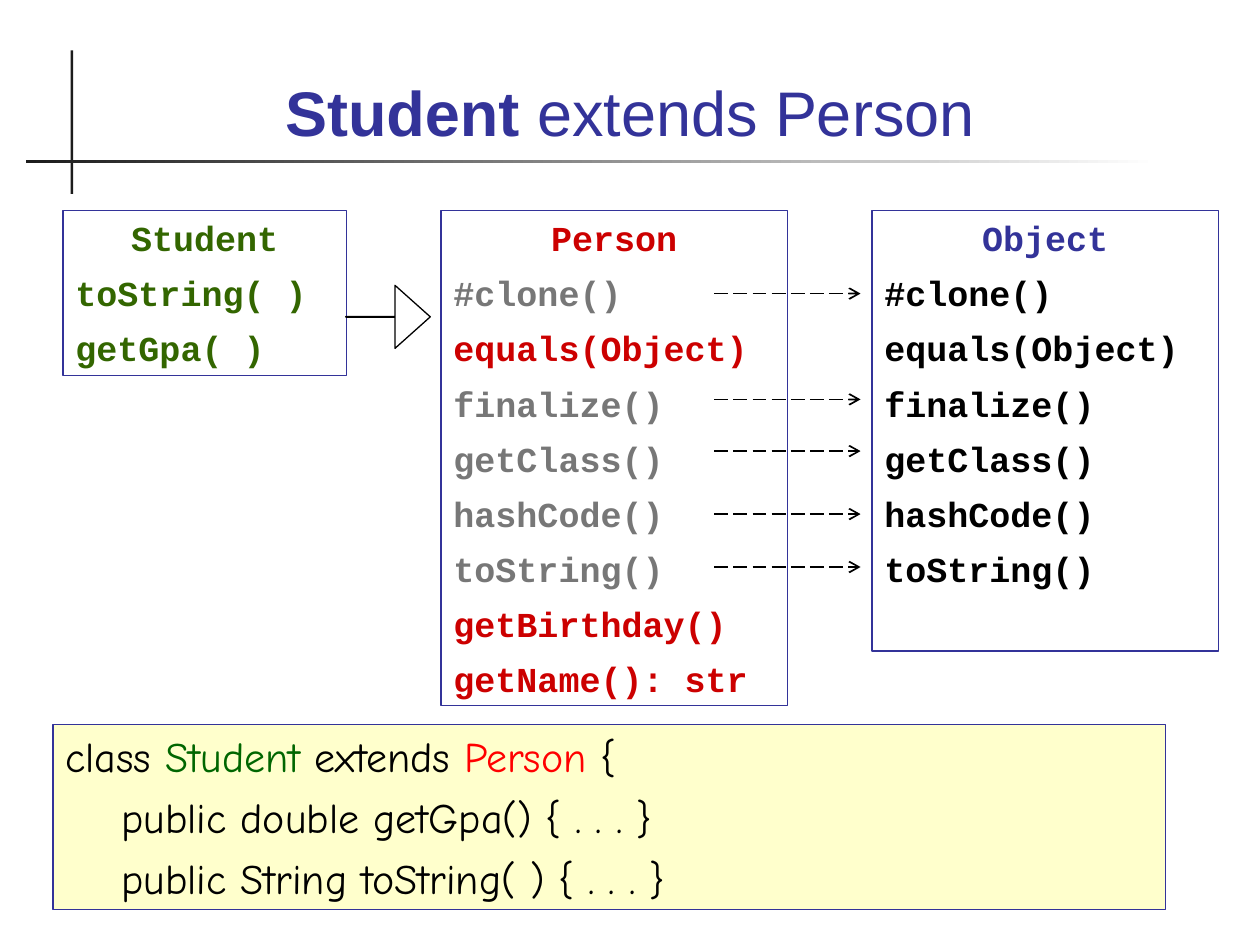
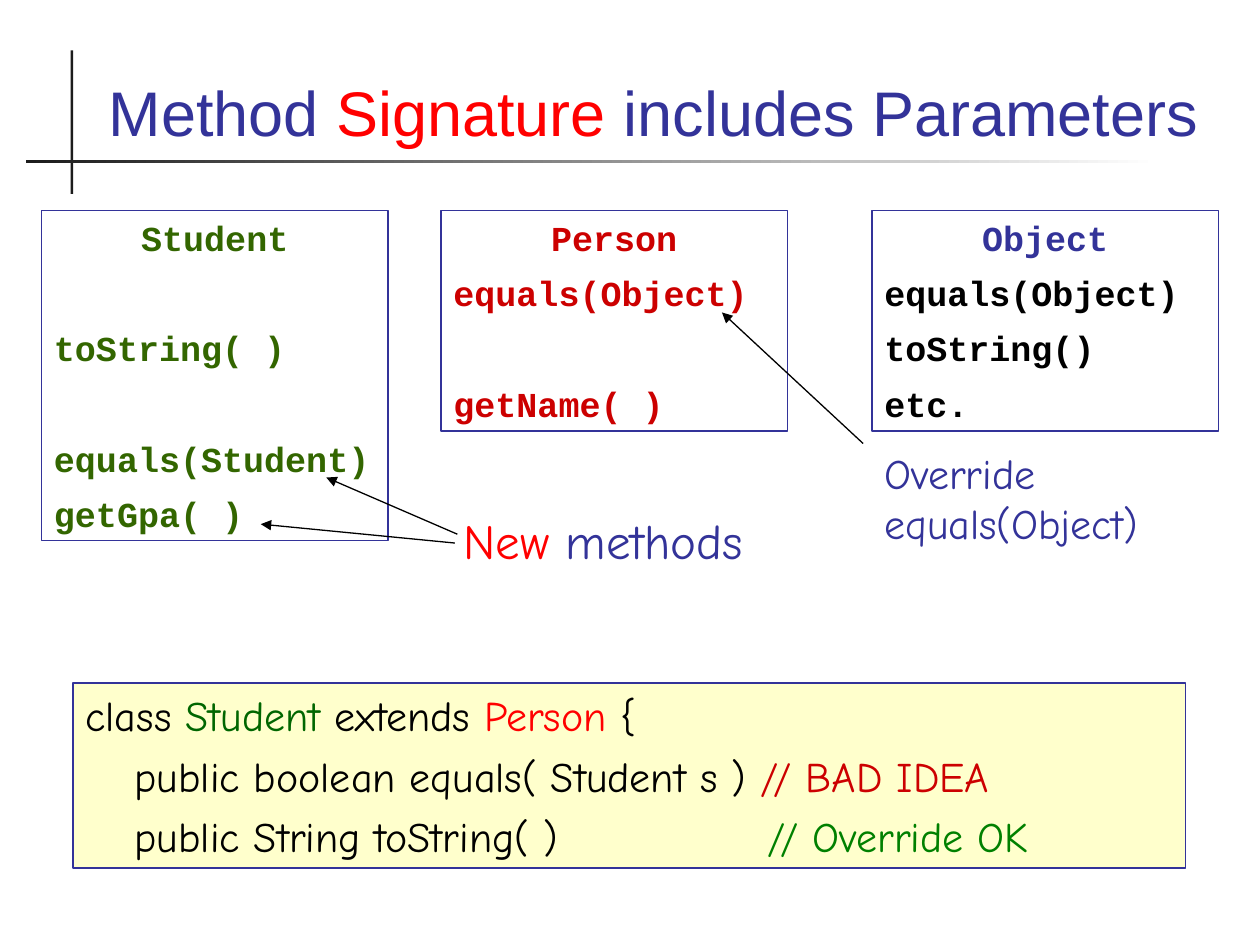
from lxml import etree
from pptx import Presentation
from pptx import util as u
from pptx.dml.color import RGBColor
from pptx.enum import dml, shapes, text
from pptx.oxml import ns

BLUE, BLACK, RED, BRIGHT_RED = "333399", "000000", "CC0000", "FF0000"
GREEN, DARK_GREEN, OK_GREEN = "336600", "006600", "008000"
GREY, INK, WHITE, CREAM = "777777", "1C1C1C", "FFFFFF", "FFFFCC"
MONO = {"name": "Courier New", "size": u.Pt(20), "bold": True}
CODE = {"name": "Comic Neue", "size": u.Pt(24)}
NOTE = {"name": "Comic Neue", "size": u.Pt(28)}
TITLE = {"name": "Arial", "size": u.Pt(36)}
CLASS_TOP = 1.67
CLASS_LINE = 24
MEMBER_GAP = 7.5
CLASS_HEAD = [("class ", BLACK), ("Student", DARK_GREEN), (" extends ", BLACK),
              ("Person", BRIGHT_RED), (" {", BLACK)]


def color(value):
    """Turn a hex string into a colour."""
    return RGBColor.from_string(value)


def set_all(target, values):
    """Set every attribute in the dict on the target."""
    for name, value in values.items():
        setattr(target, name, value)


def add_child(parent, tag, **attributes):
    """Append a DrawingML element to a parent."""
    return etree.SubElement(parent, ns.qn("a:" + tag), **attributes)


def add_box(page, place, fill=None, line=None, weight=1, kind=shapes.MSO_SHAPE.RECTANGLE):
    """Add a flat preset shape with optional fill and outline."""
    box = page.shapes.add_shape(kind, *map(u.Inches, place))
    box.shadow.inherit = False
    if fill:
        box.fill.solid()
        box.fill.fore_color.rgb = color(fill)
    else:
        box.fill.background()
    if line:
        box.line.color.rgb = color(line)
        box.line.width = u.Pt(weight)
    else:
        box.line.fill.background()
    return box


def add_text_box(page, place):
    """Add an empty text box at a place in inches."""
    return page.shapes.add_textbox(*map(u.Inches, place))


def start_text(box, anchor=text.MSO_ANCHOR.TOP):
    """Prepare the text frame of a box for wrapped text."""
    frame = box.text_frame
    set_all(frame, {"word_wrap": True, "vertical_anchor": anchor})
    return frame


def write(para, spans, font, tabs=(), **layout):
    """Fill a paragraph with coloured spans in one font."""
    if tabs:
        tab_list = add_child(para._p.get_or_add_pPr(), "tabLst")
        for stop in tabs:
            add_child(tab_list, "tab", pos=str(u.Inches(stop)), algn="l")
    set_all(para, {"alignment": text.PP_ALIGN.LEFT, **layout})
    for words, shade, *extra in spans:
        span = para.add_run()
        span.text = words
        set_all(span.font, {**font, **(extra[0] if extra else {})})
        span.font.color.rgb = color(shade)


def add_page(deck, title, title_width):
    """Add a slide with the crossed rules and a title."""
    page = deck.slides.add_slide(deck.slide_layouts[6])
    add_box(page, (0.56, 0.4, 0.02, 1.14), INK)
    rule = add_box(page, (0.21, 1.27, 8.98, 0.02))
    rule.fill.gradient()
    rule.fill.gradient_angle = 180
    for stop, shade in zip(rule.fill.gradient_stops, (WHITE, INK)):
        stop.color.rgb = color(shade)
    box = add_text_box(page, (0.67, 0.28, title_width, 0.95))
    frame = start_text(box, text.MSO_ANCHOR.BOTTOM)
    write(frame.paragraphs[0], title, TITLE, alignment=text.PP_ALIGN.CENTER)
    return page


def add_class(page, left, width, rows, name, shade, members):
    """Draw a class box; each member is (row, words, colour)."""
    row_height = CLASS_LINE + MEMBER_GAP
    height = round((rows * row_height - MEMBER_GAP) / 72 + 0.1, 2)
    box = add_box(page, (left, CLASS_TOP, width, height), WHITE, BLUE)
    frame = start_text(box)
    write(frame.paragraphs[0], [(name, shade)], MONO,
          alignment=text.PP_ALIGN.CENTER, line_spacing=u.Pt(CLASS_LINE))
    previous = 0
    for row, words, member_shade in members:
        gap = MEMBER_GAP + (row - previous - 1) * row_height
        write(frame.add_paragraph(), [(words, member_shade)], MONO,
              space_before=u.Pt(gap), line_spacing=u.Pt(CLASS_LINE))
        previous = row


def add_code(page, left, top, lines, tabs=()):
    """Draw the cream code panel with the class heading first."""
    box = add_box(page, (left, top, 8.83, 1.47), CREAM, BLUE, 0.75)
    frame = start_text(box)
    write(frame.paragraphs[0], CLASS_HEAD, CODE, line_spacing=u.Pt(28.8))
    for spans in lines:
        write(frame.add_paragraph(), spans, CODE, tabs,
              space_before=u.Pt(6), line_spacing=u.Pt(28.8))


def add_note(page, place, spans, font):
    """Add a free label."""
    frame = start_text(add_text_box(page, place))
    write(frame.paragraphs[0], spans, font, line_spacing=u.Pt(font["size"].pt * 1.2))


def add_arrow(page, start, end, weight, head, dash=None):
    """Draw a straight arrow between two points."""
    points = map(u.Inches, (*start, *end))
    arrow = page.shapes.add_connector(shapes.MSO_CONNECTOR.STRAIGHT, *points)
    arrow.line.color.rgb = color(BLACK)
    arrow.line.width = u.Pt(weight)
    if dash:
        arrow.line.dash_style = dash
    add_child(arrow.line._get_or_add_ln(), "tailEnd", type=head)
    add_child(arrow._element.spPr, "effectLst")


def number(members, shade):
    """Give members consecutive rows and one colour."""
    return [(row, words, shade) for row, words in enumerate(members, 1)]


def build_inheritance(deck):
    """Build the slide on Student extending Person."""
    title = [("Student", BLUE, {"bold": True}), (" extends Person", BLUE)]
    page = add_page(deck, title, 8.66)
    inherited = ["#clone()", "equals(Object)", "finalize()", "getClass()",
                 "hashCode()", "toString()"]
    add_class(page, 6.92, 2.75, 8, "Object", BLUE, number(inherited, BLACK))
    own = {"equals(Object)", "getBirthday()", "getName(): str"}
    person = [(row, words, RED if words in own else GREY) for row, words
              in enumerate(inherited + ["getBirthday()", "getName(): str"], 1)]
    add_class(page, 3.5, 2.75, 9, "Person", RED, person)
    add_code(page, 0.42, 5.75, [
        [("    public double getGpa() { . . . }", BLACK)],
        [("    public String toString( ) { . . . }", BLACK)]])
    for y in (2.33, 3.17, 3.58, 4.08, 4.5):
        add_arrow(page, (5.67, y), (6.83, y), 1, "arrow", dml.MSO_LINE.LONG_DASH)
    add_class(page, 0.5, 2.25, 3, "Student", GREEN,
              number(["toString( )", "getGpa( )"], GREEN))
    extends = add_box(page, (2.83, 2.18, 0.5, 0.67), None, BLACK, 0.75,
                      shapes.MSO_SHAPE.UP_ARROW)
    extends.rotation = 90
    extends.adjustments[0] = 0.01
    extends.adjustments[1] = 0.56


def build_signature(deck):
    """Build the slide on method signatures."""
    title = [("Method ", BLUE), ("Signature", BRIGHT_RED),
             (" includes Parameters", BLUE)]
    page = add_page(deck, title, 9.03)
    add_class(page, 6.92, 2.75, 4, "Object", BLUE,
              number(["equals(Object)", "toString()", "etc."], BLACK))
    add_class(page, 3.5, 2.75, 4, "Person", RED,
              [(1, "equals(Object)", RED), (3, "getName( )", RED)])
    add_code(page, 0.58, 5.42, [
        [("\tpublic boolean equals( Student s ) ", BLACK), ("// BAD IDEA", RED)],
        [("\tpublic String toString( )\t", BLACK), ("// Override OK", OK_GREEN)]],
        (0.39, 5.41))
    add_class(page, 0.33, 2.75, 6, "Student", GREEN,
              [(2, "toString( )", GREEN), (4, "equals(Student)", GREEN),
               (5, "getGpa( )", GREEN)])
    add_note(page, (3.58, 4, 2.92, 1.18),
             [("New", BRIGHT_RED), (" methods", BLUE)], NOTE)
    add_note(page, (6.92, 3.5, 2.75, 0.9), [("Override equals(Object)", BLUE)], CODE)
    for start, end in (((6.85, 3.52), (5.73, 2.48)),
                       ((3.63, 4.24), (2.59, 3.79)),
                       ((3.61, 4.31), (2.07, 4.16))):
        add_arrow(page, start, end, 0.75, "triangle")


def main():
    """Build and save the deck."""
    deck = Presentation()
    set_all(deck, {"slide_width": u.Inches(10), "slide_height": u.Inches(7.5)})
    build_inheritance(deck)
    build_signature(deck)
    deck.save("out.pptx")


if __name__ == "__main__":
    main()
